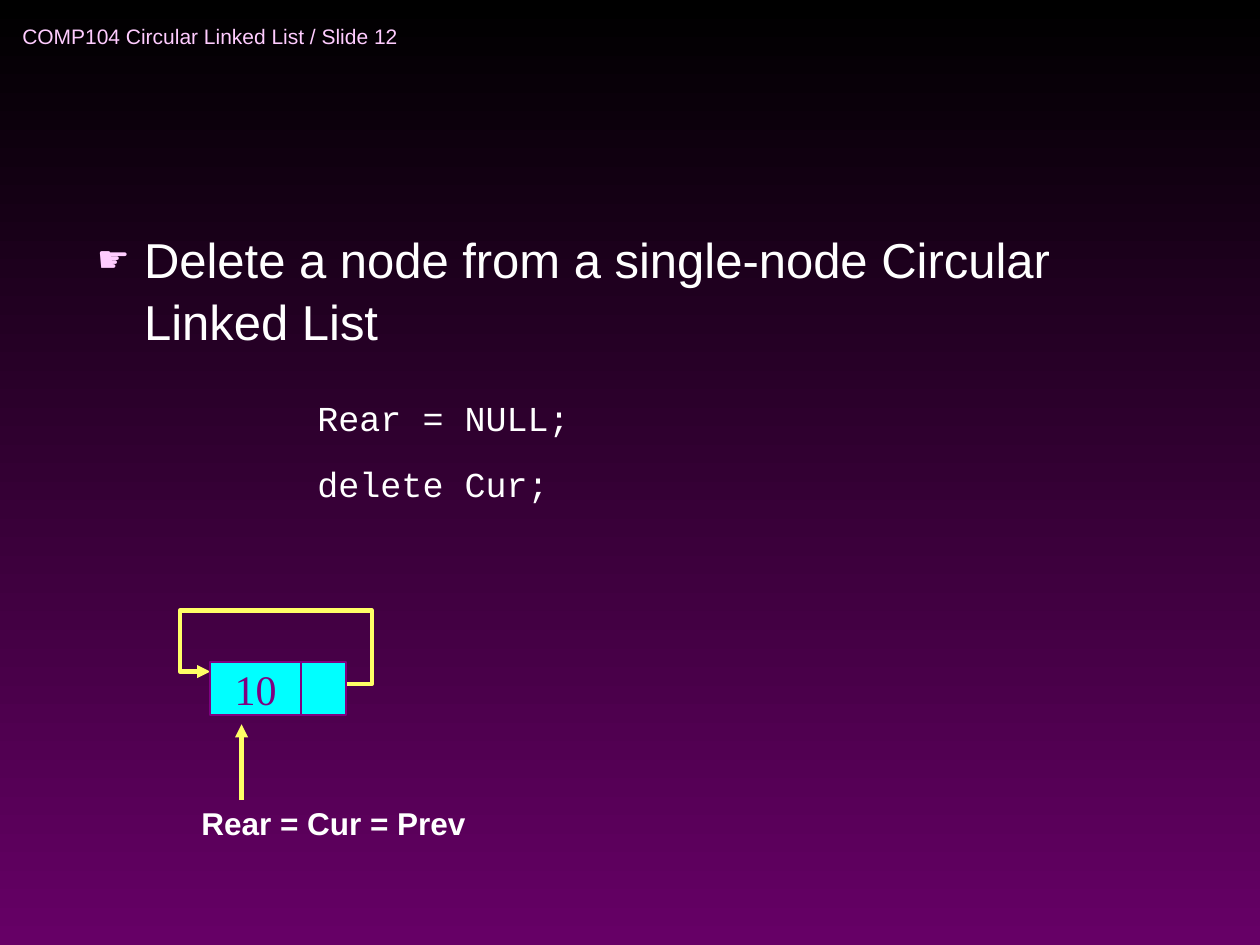
from lxml import etree
from pptx import Presentation
from pptx.dml.color import RGBColor
from pptx.enum.shapes import MSO_CONNECTOR, MSO_SHAPE
from pptx.enum.text import MSO_ANCHOR, PP_ALIGN
from pptx.oxml.ns import qn
from pptx.util import Cm, Pt

STRAIGHT, ELBOW = MSO_CONNECTOR.STRAIGHT, MSO_CONNECTOR.ELBOW
RECT = MSO_SHAPE.RECTANGLE
MIDDLE, CENTER = MSO_ANCHOR.MIDDLE, PP_ALIGN.CENTER


def color(hex_value):
    return RGBColor.from_string(hex_value)


def add_run(p, text, size, font, hex_value, bold=False):
    r = p.add_run()
    r.text = text
    r.font.size = Pt(size)
    r.font.name = font
    r.font.bold = bold
    r.font.color.rgb = color(hex_value)


prs = Presentation()
prs.slide_width, prs.slide_height = Cm(25.4), Cm(19.05)
s = prs.slides.add_slide(prs.slide_layouts[1])
title = s.shapes.title
title.element.getparent().remove(title.element)

fill = s.background.fill
fill.gradient()
fill.gradient_angle = 270
for stop, hex_value in zip(fill.gradient_stops, ("000000", "660066")):
    stop.color.rgb = color(hex_value)
for stop, position in zip(fill.gradient_stops, (0, 1)):
    stop.position = position

header = s.shapes.add_textbox(Cm(0.2), Cm(0.2), Cm(8.2), Cm(1.07))
tf = header.text_frame
tf.word_wrap = False
tf.vertical_anchor = MIDDLE
add_run(tf.paragraphs[0], "COMP104 Circular Linked List / Slide 12", 12, "Arial", "FFCCFF")

body = s.placeholders[1]
body.left, body.top, body.width, body.height = Cm(1.7), Cm(4.45), Cm(21.8), Cm(12.07)
p = body.text_frame.paragraphs[0]
p.space_before = Pt(7)
p.line_spacing = 1.05
pPr = p._p.get_or_add_pPr()
pPr.set("marL", str(Cm(0.95)))
pPr.set("indent", str(-Cm(0.95)))
bullet_color = etree.SubElement(pPr, qn("a:buClr"))
etree.SubElement(bullet_color, qn("a:srgbClr"), val="FFCCFF")
etree.SubElement(pPr, qn("a:buSzPct"), val="75000")
etree.SubElement(pPr, qn("a:buChar"), char="☛")
add_run(p, "Delete a node from a single-node Circular Linked List", 28, "Arial", "FFFFFF")

label = s.shapes.add_textbox(Cm(3.81), Cm(16.08), Cm(6.15), Cm(1.02))
tf = label.text_frame
tf.word_wrap = True
p = tf.paragraphs[0]
p.space_before = Pt(4.5)
add_run(p, "Rear = Cur = Prev", 18, "Arial", "FFFFFF", True)

pointer = s.shapes.add_connector(STRAIGHT, Cm(4.87), Cm(16.13), Cm(4.87), Cm(14.6))
loop = s.shapes.add_connector(ELBOW, Cm(6.86), Cm(13.79), Cm(4.24), Cm(13.54))
geom = loop._element.spPr.find(qn("a:prstGeom"))
geom.set("prst", "bentConnector5")
guides = geom.get_or_add_avLst()
for i, value in enumerate((-24300, 593000, 123400), 1):
    etree.SubElement(guides, qn("a:gd"), name=f"adj{i}", fmla=f"val {value}")
for arrow in (pointer, loop):
    arrow.line.color.rgb = color("FFFF66")
    arrow.line.width = Pt(2.5)
    etree.SubElement(arrow.line._get_or_add_ln(), qn("a:tailEnd"), type="triangle")
    etree.SubElement(arrow._element.spPr, qn("a:effectLst"))

code = s.shapes.add_textbox(Cm(6.15), Cm(7.82), Cm(12.7), Cm(2.39))
tf = code.text_frame
tf.word_wrap = True
for i, text in enumerate(("Rear = NULL;", "delete Cur;")):
    p = tf.add_paragraph() if i else tf.paragraphs[0]
    p.space_before = Pt(12.5)
    p.line_spacing = 1.05
    add_run(p, text, 20, "Courier New", "FFFFFF")

node = s.shapes.add_group_shape()
for left, width, text in ((4.24, 1.83, "10"), (6.07, 0.91, "")):
    sp = node.shapes.add_shape(RECT, Cm(left), Cm(13.34), Cm(width), Cm(1.07))
    sp.shadow.inherit = False
    sp.fill.solid()
    sp.fill.fore_color.rgb = color("00FFFF")
    sp.line.color.rgb = color("800080")
    sp.line.width = Pt(1)
    if text:
        tf = sp.text_frame
        tf.word_wrap = False
        tf.vertical_anchor = MIDDLE
        p = tf.paragraphs[0]
        p.alignment = CENTER
        add_run(p, text, 24, "Times New Roman", "800080")

prs.save("out.pptx")
